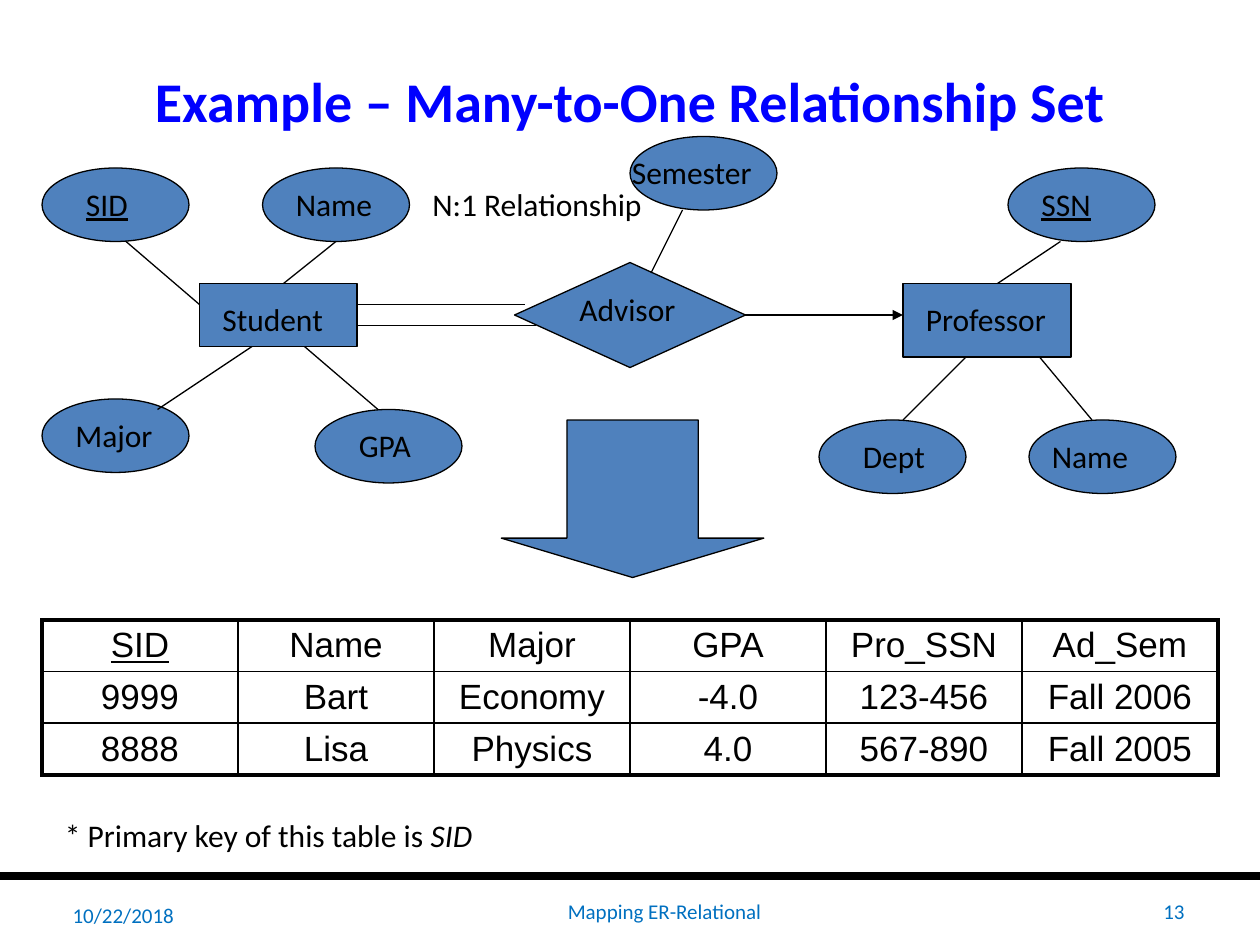
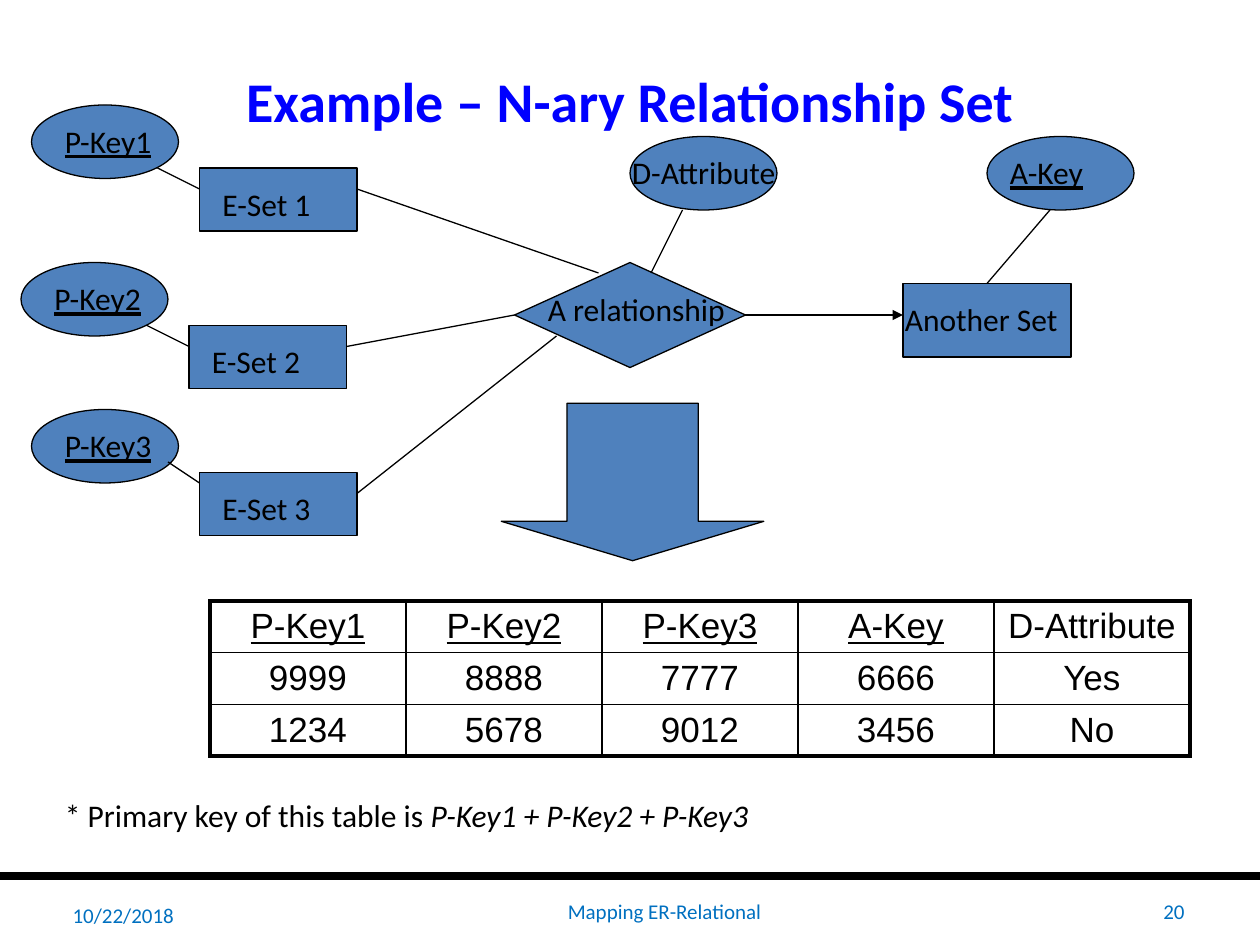
from pptx import Presentation
from pptx.dml.color import RGBColor
from pptx.enum.shapes import MSO_CONNECTOR, MSO_SHAPE
from pptx.enum.text import MSO_ANCHOR, MSO_AUTO_SIZE, PP_ALIGN
from pptx.oxml.ns import qn
from pptx.util import Pt
from lxml import etree

BLACK = RGBColor(0, 0, 0)
WHITE = RGBColor(255, 255, 255)
TITLE_BLUE = RGBColor(0, 0, 255)
FOOTER_BLUE = RGBColor(0x00, 0x70, 0xC0)
SHAPE_BLUE = RGBColor(0x4F, 0x81, 0xBD)
LEFT, CENTER, RIGHT = PP_ALIGN.LEFT, PP_ALIGN.CENTER, PP_ALIGN.RIGHT
TOP, MIDDLE = MSO_ANCHOR.TOP, MSO_ANCHOR.MIDDLE
STRAIGHT = MSO_CONNECTOR.STRAIGHT
OVAL, RECT = MSO_SHAPE.OVAL, MSO_SHAPE.RECTANGLE
DIAMOND, DOWN_ARROW = MSO_SHAPE.FLOWCHART_DECISION, MSO_SHAPE.DOWN_ARROW

KINDS = {
    "attribute": (OVAL, 84, 42, 6),
    "key": (OVAL, 84, 42, 6),
    "entity": (RECT, 90, 36, 6),
    "target": (RECT, 96, 42, 6),
    "relationship": (DIAMOND, 132, 60, 12),
}
COL_W, ROW_H = 112, 26
THIN, THICK = 1, 2.25

# kind, label, left, top, label indent, label width
SLIDES = [
    {
        "title": "Example – Many-to-One Relationship Set",
        "number": "13",
        "nodes": [
            ("entity", "Student", 114, 162, 6, 78),
            ("attribute", "Name", 150, 96, 12, 66),
            ("key", "SID", 24, 96, 18, 60),
            ("attribute", "Major", 24, 228, 12, 60),
            ("attribute", "GPA", 180, 234, 18, 54),
            ("relationship", "Advisor", 294, 150, 30, 102),
            ("target", "Professor", 516, 162, 6, 102),
            ("key", "SSN", 576, 96, 12, 90),
            ("attribute", "Semester", 360, 78, -6, 102),
            ("attribute", "Name", 588, 240, 6, 66),
            ("attribute", "Dept", 468, 240, 18, 54),
        ],
        "links": [
            (72, 138, 114, 174), (192, 138, 162, 162),
            (216, 234, 174, 198), (90, 234, 144, 198),
            (606, 138, 570, 162), (372, 156, 390, 120),
            (594, 204, 624, 240), (552, 204, 516, 240),
            (300, 174, 204, 174), (204, 186, 306, 186),
        ],
        "captions": [("N:1 Relationship", 240, 102, 138)],
        "arrow_top": 240,
        "table_at": (24, 354.2),
        "rows": [
            ["SID", "Name", "Major", "GPA", "Pro_SSN", "Ad_Sem"],
            ["9999", "Bart", "Economy", "-4.0", "123-456", "Fall 2006"],
            ["8888", "Lisa", "Physics", "4.0", "567-890", "Fall 2005"],
        ],
        "key_columns": 1,
        "primary_key": "SID",
        "note_top": 463,
    },
    {
        "title": "Example – N-ary Relationship Set",
        "number": "20",
        "nodes": [
            ("entity", "E-Set 1", 114, 96, 6, 78),
            ("key", "P-Key1", 18, 60, 12, 78),
            ("entity", "E-Set 2", 108, 186, 6, 78),
            ("key", "P-Key2", 12, 150, 12, 78),
            ("entity", "E-Set 3", 114, 270, 6, 78),
            ("key", "P-Key3", 18, 234, 12, 78),
            ("relationship", "A relationship", 294, 150, 12, 126),
            ("target", "Another Set", 516, 162, -6, 114),
            ("attribute", "D-Attribute", 360, 78, -6, 102),
            ("key", "A-Key", 564, 78, 6, 78),
        ],
        "links": [
            (90, 96, 114, 108), (84, 186, 108, 198), (96, 264, 114, 276),
            (204, 108, 342, 156), (198, 198, 294, 180), (204, 282, 318, 192),
            (372, 156, 390, 120), (600, 120, 564, 162),
        ],
        "captions": [],
        "arrow_top": 230.4,
        "table_at": (120, 343.4),
        "rows": [
            ["P-Key1", "P-Key2", "P-Key3", "A-Key", "D-Attribute"],
            ["9999", "8888", "7777", "6666", "Yes"],
            ["1234", "5678", "9012", "3456", "No"],
        ],
        "key_columns": 4,
        "primary_key": "P-Key1 + P-Key2 + P-Key3",
        "note_top": 451.5,
    },
]


def add_text(s, text, x, y, w, h=29, size=18, color=BLACK, align=LEFT, anchor=TOP):
    tf = s.shapes.add_textbox(Pt(x), Pt(y), Pt(w), Pt(h)).text_frame
    tf.word_wrap = True
    tf.auto_size = MSO_AUTO_SIZE.SHAPE_TO_FIT_TEXT if anchor == TOP else MSO_AUTO_SIZE.NONE
    tf.vertical_anchor = anchor
    p = tf.paragraphs[0]
    p.text = text
    p.alignment = align
    p.font.name, p.font.size = "Calibri", Pt(size)
    p.font.color.rgb = color
    return p


def add_line(s, x1, y1, x2, y2, width=0.75):
    line = s.shapes.add_connector(STRAIGHT, Pt(x1), Pt(y1), Pt(x2), Pt(y2))
    line.line.color.rgb = BLACK
    line.line.width = Pt(width)
    etree.SubElement(line._element.spPr, qn("a:effectLst"))
    return line


prs = Presentation()
prs.slide_width, prs.slide_height = Pt(720), Pt(540)

for data in SLIDES:
    s = prs.slides.add_slide(prs.slide_layouts[5])
    add_line(s, 0, 500.4, 720, 500.4, 4.5)

    title = s.shapes.title
    title.left, title.top, title.width, title.height = Pt(36), Pt(12), Pt(648), Pt(90)
    title.text_frame.vertical_anchor = MIDDLE
    p = title.text_frame.paragraphs[0]
    p.text = data["title"]
    p.alignment = CENTER
    p.font.name, p.font.size, p.font.bold = "Calibri", Pt(32), True
    p.font.color.rgb = TITLE_BLUE

    rows = data["rows"]
    x, y = data["table_at"]
    n_rows, n_cols = len(rows), len(rows[0])
    table = s.shapes.add_table(n_rows, n_cols, Pt(x), Pt(y),
                               Pt(COL_W * n_cols), Pt(ROW_H * n_rows)).table
    table.first_row = table.horz_banding = False
    for col in table.columns:
        col.width = Pt(COL_W)
    for i, values in enumerate(rows):
        for j, value in enumerate(values):
            cell = table.cell(i, j)
            p = cell.text_frame.paragraphs[0]
            p.text = value
            p.alignment = CENTER
            p.font.name, p.font.size = "Arial", Pt(20)
            p.font.color.rgb = BLACK
            p.font.underline = i == 0 and j < data["key_columns"]
            outer = {"lnL": j == 0, "lnR": j == n_cols - 1,
                     "lnT": i == 0, "lnB": i == n_rows - 1}
            for side, is_outer in outer.items():
                ln = etree.SubElement(cell._tc.get_or_add_tcPr(), qn("a:" + side),
                                      w=str(Pt(THICK if is_outer else THIN)))
                fill = etree.SubElement(ln, qn("a:solidFill"))
                etree.SubElement(fill, qn("a:srgbClr"), val=str(BLACK))
            if i == 1:
                cell.fill.solid()
                cell.fill.fore_color.rgb = WHITE
            else:
                cell.fill.background()

    outlines = [(*KINDS[kind][:3], x, y) for kind, _, x, y, _, _ in data["nodes"]]
    outlines.append((DOWN_ARROW, 150, 90, 286.5, data["arrow_top"]))
    joints = {}
    for preset, w, h, x, y in outlines:
        sp = s.shapes.add_shape(preset, Pt(x), Pt(y), Pt(w), Pt(h))
        sp.shadow.inherit = False
        sp.fill.solid()
        sp.fill.fore_color.rgb = SHAPE_BLUE
        sp.line.color.rgb = BLACK
        sp.line.width = Pt(0.75)
        if preset == DOWN_ARROW:
            sp.adjustments[0], sp.adjustments[1] = 0.5, 0.25
        if preset in (RECT, DIAMOND):
            sides = [(x + w / 2, y), (x, y + h / 2), (x + w / 2, y + h), (x + w, y + h / 2)]
            for site, point in enumerate(sides):
                joints[point] = (sp, site)

    to_target = (426, 180, 516, 180)
    for link in [*data["links"], to_target]:
        line = add_line(s, *link)
        if link[:2] in joints:
            line.begin_connect(*joints[link[:2]])
        if link[2:] in joints:
            line.end_connect(*joints[link[2:]])
        if link == to_target:
            etree.SubElement(line.line._get_or_add_ln(), qn("a:tailEnd"), type="triangle")

    for kind, label, x, y, indent, w in data["nodes"]:
        p = add_text(s, label, x + indent, y + KINDS[kind][3], w)
        p.font.underline = kind == "key"
    for caption in data["captions"]:
        add_text(s, *caption)

    p = add_text(s, "* Primary key of this table is ", 30, data["note_top"], 654)
    r = p.add_run()
    r.text = data["primary_key"]
    r.font.italic = True

    for text, x, w, h, align in [
        ("10/22/2018", 28, 78.5, 34, RIGHT),
        ("Mapping ER-Relational", 118, 523.5, 29, CENTER),
        (data["number"], 652, 32, 29, RIGHT),
    ]:
        add_text(s, text, x, 506, w, h, 12, FOOTER_BLUE, align, MIDDLE)

prs.save("out.pptx")
